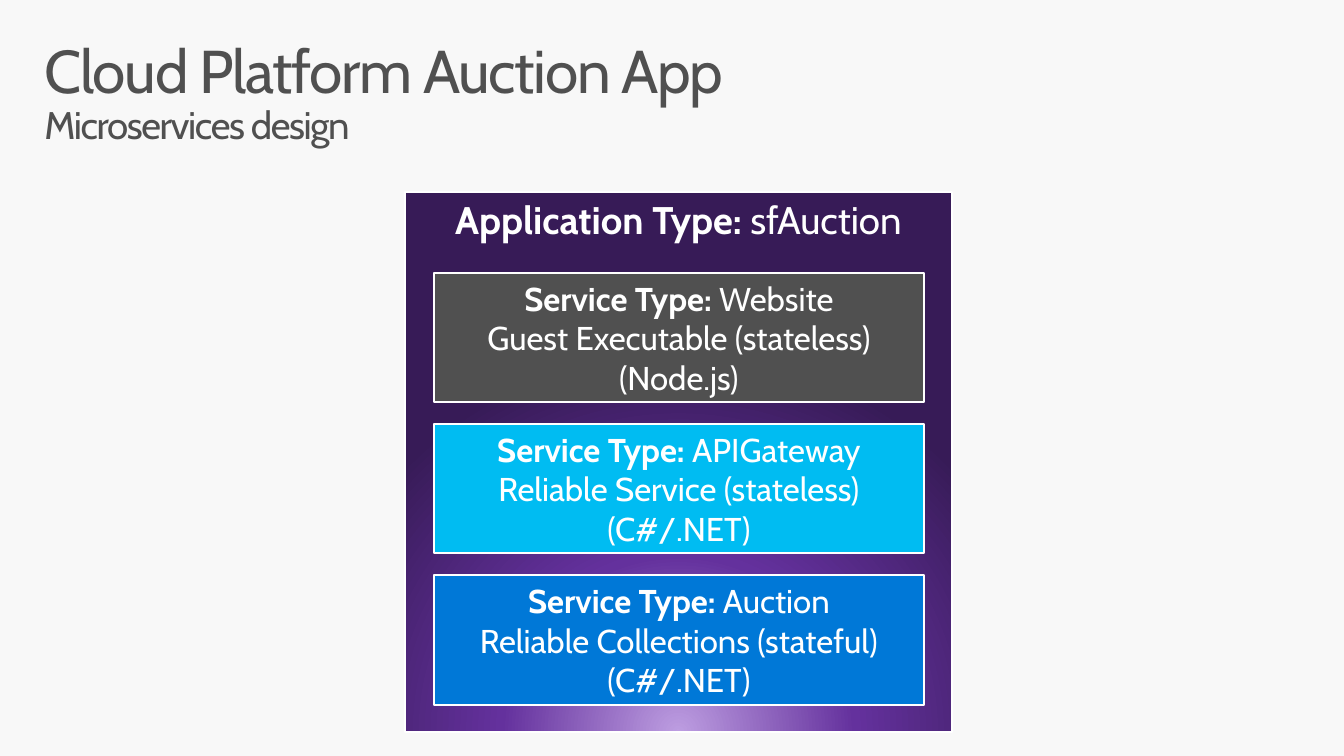
import pptx
import pptx.dml.color
import pptx.enum.dml
import pptx.enum.shapes
import pptx.enum.text
import pptx.oxml
import pptx.oxml.ns
import pptx.util

ALIGN = pptx.enum.text.PP_ALIGN
ANCHOR = pptx.enum.text.MSO_ANCHOR
FIT = pptx.enum.text.MSO_AUTO_SIZE

# Application panel and its services, in grid columns and rows
PANEL = (41, 19.4, 55.3, 54.7)
SERVICE_LEFT, SERVICE_TOP, SERVICE_WIDTH, SERVICE_HEIGHT = 43.9, 27.6, 49.6, 13.1
SERVICE_STEP = 15.3
GLOW = ((0, "BD9DE1"), (46, "64319D"), (100, "371B57"))
SERVICES = (
    ("505050", ("Website", "Guest Executable (stateless)", "(Node.js)")),
    ("00BCF2", ("APIGateway", "Reliable Service (stateless)", "(C#/.NET)")),
    ("0078D7", ("Auction", "Reliable Collections (stateful)", "(C#/.NET)")),
)


def color(hex_text):
    return pptx.dml.color.RGBColor.from_string(hex_text)


def write(para, text, size, fill, font="Cabin", bold=False, spacing=0):
    span = para.add_run()
    span.text = text
    span.font.name = font
    span.font.size = pptx.util.Pt(size)
    span.font.bold = bold
    span.font.color.rgb = color(fill)
    if spacing:
        span.font._element.set("spc", str(int(spacing * 100)))


class Page:
    COLUMNS, ROWS = 136, 76.5
    PAPER, INK, WHITE = "F8F8F8", "505050", "FFFFFF"

    def __init__(self, deck):
        self.column = deck.slide_width / self.COLUMNS
        self.row = deck.slide_height / self.ROWS
        self.slide = deck.slides.add_slide(deck.slide_layouts[6])
        fill = self.slide.background.fill
        fill.solid()
        fill.fore_color.rgb = color(self.PAPER)

    def place(self, left, top, width, height):
        return (round(left * self.column), round(top * self.row),
                round(width * self.column), round(height * self.row))

    def frame(self, box, side, end, anchor):
        frame = box.text_frame
        frame.word_wrap = True
        frame.vertical_anchor = anchor
        frame.margin_left = frame.margin_right = pptx.util.Inches(side)
        frame.margin_top = frame.margin_bottom = pptx.util.Inches(end)
        return frame

    def heading(self, area, lines):
        box = self.slide.shapes.add_textbox(*self.place(*area))
        frame = self.frame(box, 0.16, 0.1, ANCHOR.TOP)
        for index, (text, size) in enumerate(lines):
            para = frame.add_paragraph() if index else frame.paragraphs[0]
            para.line_spacing = 0.9
            write(para, text, size, self.INK, spacing=-1)

    def block(self, area, label, lines, size, fill=None, anchor=ANCHOR.MIDDLE):
        """Outlined rectangle with a bold label before its first line."""
        box = self.slide.shapes.add_shape(
            pptx.enum.shapes.MSO_SHAPE.RECTANGLE, *self.place(*area))
        box.shadow.inherit = False
        box.line.color.rgb = color(self.WHITE)
        box.line.width = pptx.util.Pt(1.5)
        if fill:
            box.fill.solid()
            box.fill.fore_color.rgb = color(fill)
        frame = self.frame(box, 0.05, 0.05, anchor)
        para = frame.paragraphs[0]
        para.alignment = ALIGN.CENTER
        write(para, label, size, self.WHITE, bold=True)
        for index, line in enumerate(lines):
            if index:
                para.add_line_break()
            write(para, line, size, self.WHITE)
        return box

    def glow(self, box, stops):
        """Circular gradient centred below the bottom edge."""
        stop_xml = "".join(
            f'<a:gs pos="{share * 1000}"><a:srgbClr val="{fill}"/></a:gs>'
            for share, fill in stops)
        gradient = pptx.oxml.parse_xml(
            f'<a:gradFill {pptx.oxml.ns.nsdecls("a")} rotWithShape="1">'
            f'<a:gsLst>{stop_xml}</a:gsLst><a:path path="circle">'
            '<a:fillToRect l="50000" t="130000" r="50000" b="-30000"/>'
            '</a:path></a:gradFill>')
        box._element.spPr.find(pptx.oxml.ns.qn("a:prstGeom")).addnext(gradient)


def main():
    deck = pptx.Presentation()
    deck.slide_width = pptx.util.Inches(13.6)
    deck.slide_height = pptx.util.Inches(7.65)
    page = Page(deck)

    # Title and subtitle
    page.heading((2.9, 3.2, 127.5, 14.2),
                 (("Cloud Platform Auction App", 44), ("Microservices design", 28)))

    # Application panel
    panel = page.block(PANEL, "Application Type: ", ("sfAuction",), 28,
                       anchor=ANCHOR.TOP)
    page.glow(panel, GLOW)

    # Stacked services
    for index, (fill, lines) in enumerate(SERVICES):
        area = (SERVICE_LEFT, SERVICE_TOP + index * SERVICE_STEP,
                SERVICE_WIDTH, SERVICE_HEIGHT)
        service = page.block(area, "Service Type: ", lines, 24, fill)
        service.text_frame.auto_size = FIT.SHAPE_TO_FIT_TEXT

    deck.save("out.pptx")


if __name__ == "__main__":
    main()
